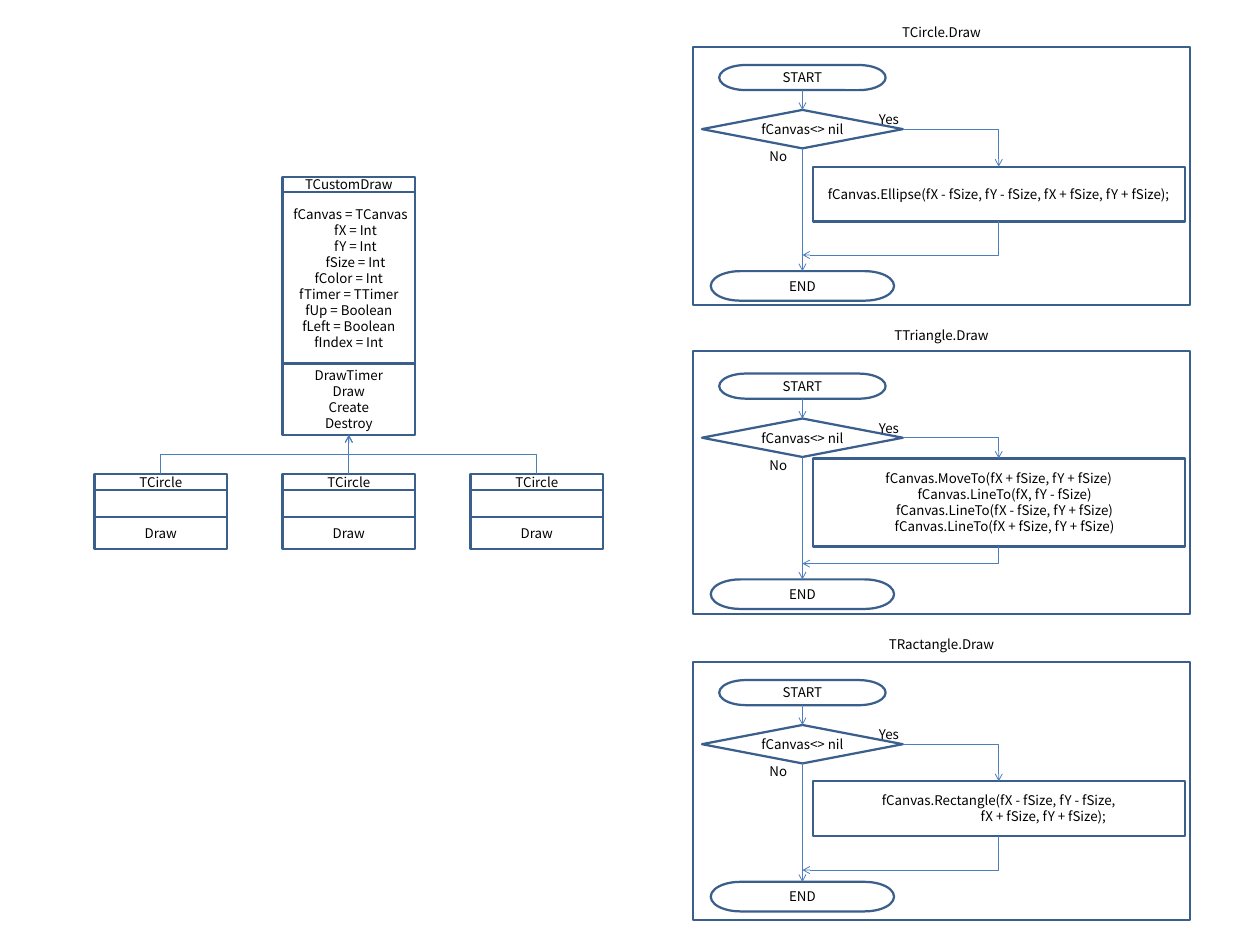
from lxml import etree
from pptx import Presentation
from pptx.dml.color import RGBColor
from pptx.enum.shapes import MSO_CONNECTOR, MSO_SHAPE
from pptx.enum.text import MSO_ANCHOR, MSO_AUTO_SIZE, PP_ALIGN
from pptx.oxml.ns import qn
from pptx.util import Pt

OUTLINE, ARROW, INK = "3A5F8C", "4B7EBC", "000000"
FONT = "Noto Sans CJK KR"
CLASS_W, CLASS_PITCH = 119.5, 169.2
PANEL_X, PANEL_W = 623.5, 447.8


def color(hex_code):
    return RGBColor.from_string(hex_code)


def write(shape, lines, align=PP_ALIGN.CENTER, anchor=MSO_ANCHOR.MIDDLE, wrap=True, indents=()):
    """Fill a shape with one paragraph per line; indents gives left margins in points."""
    frame = shape.text_frame
    frame.margin_left = frame.margin_right = frame.margin_top = frame.margin_bottom = 0
    frame.vertical_anchor, frame.word_wrap = anchor, wrap
    for number, line in enumerate(lines):
        paragraph = frame.paragraphs[0] if number == 0 else frame.add_paragraph()
        if number < len(indents):
            properties = paragraph._p.get_or_add_pPr()
            properties.set("marL", str(Pt(indents[number])))
            properties.set("indent", "0")
        paragraph.alignment = align
        run = paragraph.add_run()
        run.text = line
        run.font.name, run.font.size = FONT, Pt(12)
        run.font.color.rgb = color(INK)


def outlined(shapes, kind, x, y, w, h, lines=()):
    shape = shapes.add_shape(kind, Pt(x), Pt(y), Pt(w), Pt(h))
    shape.shadow.inherit = False
    shape.fill.background()
    shape.line.color.rgb = color(OUTLINE)
    shape.line.width = Pt(2)
    write(shape, lines)
    return shape


def label(shapes, x, y, w, h, text, **text_format):
    box = shapes.add_textbox(Pt(x), Pt(y), Pt(w), Pt(h))
    write(box, [text], **text_format)
    return box


def connect(shapes, start, end, kind=MSO_CONNECTOR.STRAIGHT, arrow="tailEnd"):
    line = shapes.add_connector(kind, *map(Pt, (*start, *end)))
    line.line.color.rgb = color(ARROW)
    line.line.width = Pt(0.75)
    outline = line.line._get_or_add_ln()
    etree.SubElement(outline, qn("a:" + arrow), type="arrow")
    etree.SubElement(line._element.spPr, qn("a:effectLst"))
    return line


def corner(shapes, start, end, **arrow_format):
    """Connector with one bend: across first, then up or down."""
    line = connect(shapes, start, end, MSO_CONNECTOR.ELBOW, **arrow_format)
    line._element.spPr.find(qn("a:prstGeom")).set("prst", "bentConnector2")


def rising_elbow(shapes, start, end):
    """Connector that goes up, across and up: an elbow turned by 270 degrees."""
    (x1, y1), (x2, y2) = start, end
    middle_x, middle_y = (x1 + x2) / 2, (y1 + y2) / 2
    half_rise, half_run = (y1 - y2) / 2, (x2 - x1) / 2
    line = connect(shapes, (middle_x - half_rise, middle_y - half_run),
                   (middle_x + half_rise, middle_y + half_run), MSO_CONNECTOR.ELBOW)
    line._element.spPr.find(qn("a:xfrm")).set("rot", str(270 * 60000))


def class_box(shapes, x, y, heights, name, fields, methods, indents=()):
    for height, lines in zip(heights, ([name], fields, methods)):
        part = outlined(shapes, MSO_SHAPE.RECTANGLE, x, y, CLASS_W, height)
        write(part, lines, indents=indents if lines is fields else ())
        y += height
    return y


def class_diagram(shapes, x, y):
    parent_x = x + CLASS_PITCH
    fields = ["fCanvas = TCanvas", "fX = Int", "fY = Int", "fSize = Int", "fColor = Int",
              "fTimer = TTimer", "fUp = Boolean", "fLeft = Boolean", "fIndex = Int"]
    parent_bottom = class_box(shapes, parent_x, y, (14, 154, 64.5), "TCustomDraw", fields,
                              ["DrawTimer", "Draw", "Create", "Destroy"], (3, 12, 12, 12))
    child_y = parent_bottom + 35.3
    target = (parent_x + CLASS_W / 2, parent_bottom)
    for column in range(3):
        child_x = x + column * CLASS_PITCH
        class_box(shapes, child_x, child_y, (14.4, 23.8, 28.8), "TCircle", [], ["Draw"])
        link = connect if column == 1 else rising_elbow
        link(shapes, (child_x + CLASS_W / 2, child_y), target)


def flowchart(shapes, y, h, title, title_h, start_dy, end_dy, action_dy, action_h, action):
    """Panel at height y; end_dy and action_dy count from the top of START."""
    group = shapes.add_group_shape().shapes
    outlined(group, MSO_SHAPE.RECTANGLE, PANEL_X, y, PANEL_W, h)
    label(group, PANEL_X, y - title_h - 2, PANEL_W, title_h, title)

    spine, action_x, action_w = PANEL_X + 98.7, PANEL_X + 108, 334.8
    start_y = y + start_dy
    test_y, test_w, test_h = start_y + 40.4, 180.8, 34.6
    test_bottom, test_right = test_y + test_h, spine + test_w / 2
    end_y, action_y = start_y + end_dy, start_y + action_dy
    action_middle = action_x + action_w / 2

    for kind, top, width, height, text in (
            (MSO_SHAPE.FLOWCHART_TERMINATOR, start_y, 149.8, 22.6, "START"),
            (MSO_SHAPE.FLOWCHART_TERMINATOR, end_y, 165, 26.6, "END"),
            (MSO_SHAPE.FLOWCHART_DECISION, test_y, test_w, test_h, "fCanvas<> nil")):
        outlined(shapes, kind, spine - width / 2, top, width, height, [text])
    outlined(shapes, MSO_SHAPE.RECTANGLE, action_x, action_y, action_w, action_h, action)

    connect(shapes, (spine, start_y + 22.6), (spine, test_y))
    connect(shapes, (spine, test_bottom), (spine, end_y))
    corner(shapes, (test_right, test_y + test_h / 2), (action_middle, action_y))
    corner(shapes, (spine, start_y + 171), (action_middle, action_y + action_h), arrow="headEnd")
    for text, x, top, width in (("Yes", test_right - 21.6, test_y + 1.2, 21.6),
                                ("No", PANEL_X + 69, test_bottom, 16.6)):
        answer = label(shapes, x, top, width, 10, text, align=PP_ALIGN.LEFT,
                       anchor=MSO_ANCHOR.TOP, wrap=False)
        answer.text_frame.auto_size = MSO_AUTO_SIZE.SHAPE_TO_FIT_TEXT


def main():
    deck = Presentation()
    deck.slide_width, deck.slide_height = Pt(1134), Pt(850.4)
    shapes = deck.slides.add_slide(deck.slide_layouts[6]).shapes
    class_diagram(shapes, 85, 159)
    flowchart(shapes, 42.5, 231.8, "TCircle.Draw", 23, 16, 185.5, 91.5, 49.3,
              ["fCanvas.Ellipse(fX - fSize, fY - fSize, fX + fSize, fY + fSize);"])
    flowchart(shapes, 316, 236.4, "TTriangle.Draw", 24.5, 20.2, 185.2, 76.4, 79.2,
              ["fCanvas.MoveTo(fX + fSize, fY + fSize)",
               "    fCanvas.LineTo(fX, fY - fSize)",
               "    fCanvas.LineTo(fX - fSize, fY + fSize)",
               "    fCanvas.LineTo(fX + fSize, fY + fSize)"])
    flowchart(shapes, 596, 231.8, "TRactangle.Draw", 29, 16, 181.6, 91, 49.3,
              ["fCanvas.Rectangle(fX - fSize, fY - fSize,",
               "                              fX + fSize, fY + fSize);"])
    deck.save("out.pptx")


if __name__ == "__main__":
    main()
